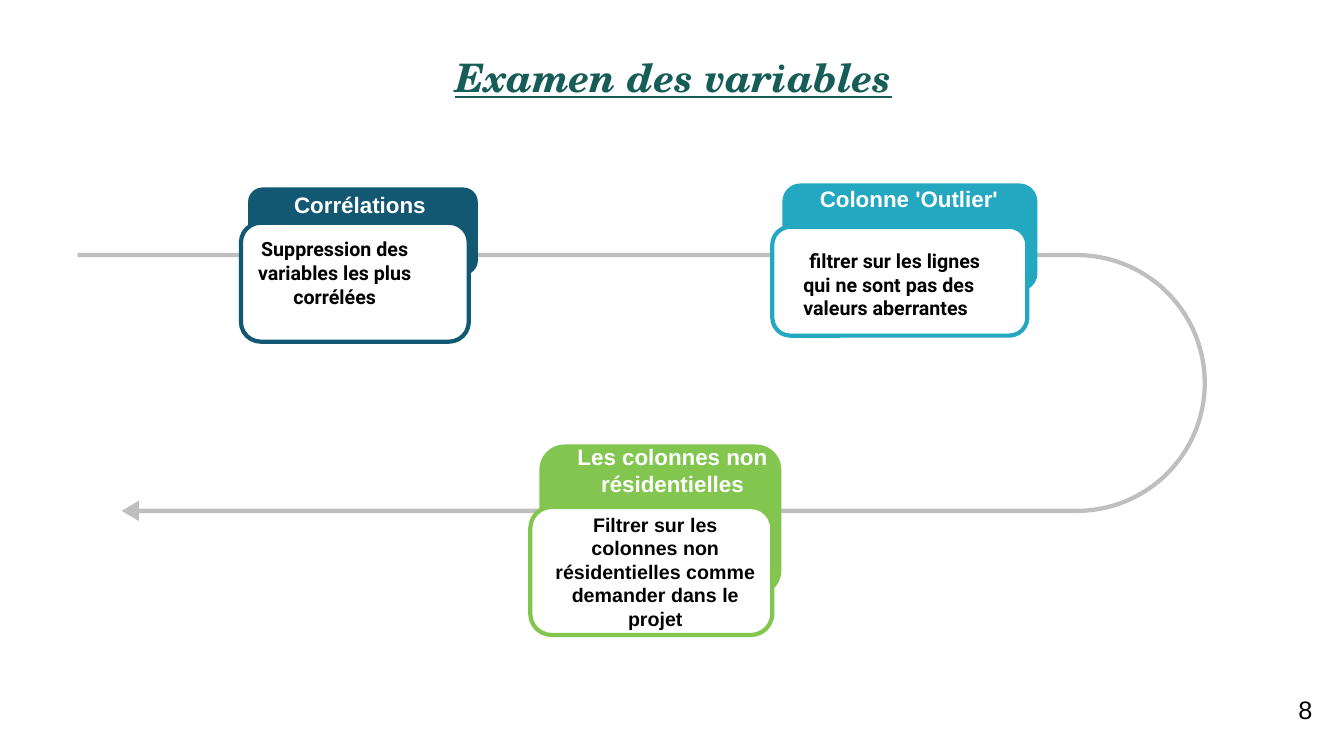
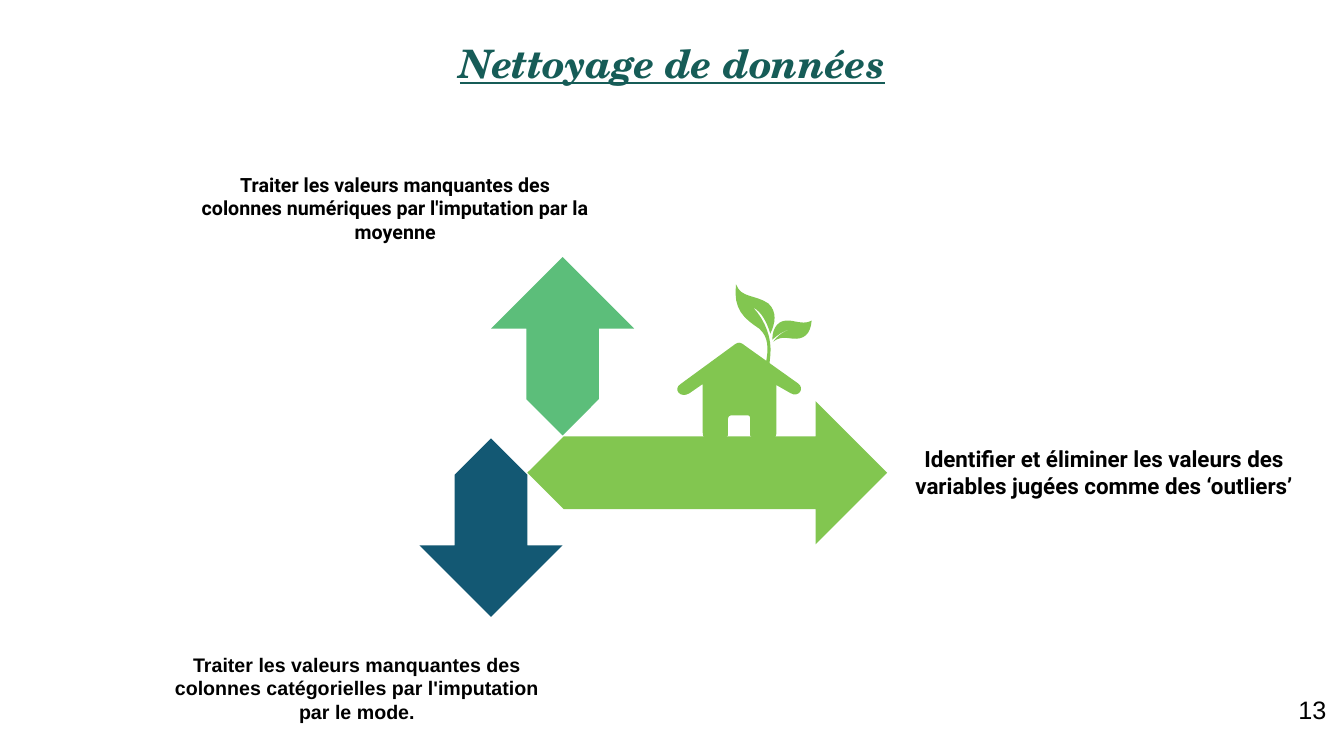
from dataclasses import dataclass

from pptx import Presentation
from pptx.dml.color import RGBColor
from pptx.enum import shapes, text
from pptx.util import Inches, Pt


@dataclass(frozen=True)
class Theme:
    title: str = "165C57"
    ink: str = "000000"
    white: str = "FFFFFF"
    track: str = "BFBFBF"
    navy: str = "135873"
    cyan: str = "24A8C2"
    lime: str = "82C650"
    mint: str = "5CBE7A"
    title_font: str = "TeX Gyre Schola"
    sans: str = "Arial"
    roboto: str = "Roboto"
    title_size: int = 28
    heading_size: int = 16
    body_size: int = 14
    number_size: int = 18
    outline: int = 3


THEME = Theme()
CENTER, LEFT = text.PP_ALIGN.CENTER, text.PP_ALIGN.LEFT
MIDDLE, TOP = text.MSO_ANCHOR.MIDDLE, text.MSO_ANCHOR.TOP
TITLE_STYLE = dict(size=Pt(THEME.title_size), name=THEME.title_font,
                   bold=True, italic=True, underline=True)
HEADING_STYLE = dict(size=Pt(THEME.heading_size), name=THEME.sans, bold=True)
BODY_STYLE = dict(size=Pt(THEME.body_size), name=THEME.sans, bold=True)
ROBOTO_STYLE = dict(BODY_STYLE, name=THEME.roboto)
NUMBER_STYLE = dict(size=Pt(THEME.number_size), name=THEME.sans)


@dataclass(frozen=True)
class Card:
    """A step of the track; its four boxes are relative to its corner."""
    corner: tuple
    color: str
    heading: str
    body: str
    tab: tuple
    panel: tuple
    heading_box: tuple
    body_box: tuple
    style: dict
    align: int = CENTER
    anchor: int = MIDDLE
    indent: float = 0


CARDS = (
    Card((2.39, 1.86), THEME.navy, "Corrélations",
         "Suppression des variables les plus corrélées",
         (0.07, 0, 2.28, 0.87), (0, 0.35, 2.26, 1.18),
         (0.18, -0.01, 2, 0.38), (-0.08, 0.44, 2.02, 0.81), ROBOTO_STYLE),
    Card((5.26, 4.41), THEME.lime, "Les colonnes non résidentielles",
         "Filtrer sur les colonnes non résidentielles comme demander "
         "dans le projet",
         (0.09, 0, 2.4, 1.5), (0, 0.62, 2.4, 1.27),
         (-0.04, -0.06, 2.9, 0.76), (0.09, 0.62, 2.3, 1.28), BODY_STYLE),
    Card((7.66, 1.82), THEME.cyan, "Colonne 'Outlier'",
         "filtrer sur les lignes qui ne sont pas des valeurs aberrantes",
         (0.1, 0, 2.53, 1.07), (0, 0.43, 2.53, 1.08),
         (-0.39, -0.03, 3.49, 0.42), (0.21, 0.6, 2.07, 0.81), ROBOTO_STYLE,
         LEFT, TOP, 0.06),
)

# Outlines relative to a corner: pairs are points, sixes are Bézier curves.
LEAF = [(0.76, 0.36), (0.75, 0.5, 0.68, 0.55, 0.57, 0.54),
        (0.5, 0.53, 0.44, 0.52, 0.38, 0.57),
        (0.42, 0.51, 0.49, 0.46, 0.57, 0.44),
        (0.5, 0.45, 0.44, 0.49, 0.37, 0.55),
        (0.37, 0.42, 0.44, 0.35, 0.54, 0.36),
        (0.62, 0.37, 0.69, 0.4, 0.76, 0.36)]
STEM = [(0.01, 0), (0.06, 0.14, 0.2, 0.1, 0.33, 0.19),
        (0.42, 0.27, 0.4, 0.39, 0.35, 0.49),
        (0.32, 0.38, 0.26, 0.27, 0.18, 0.23),
        (0.3, 0.36, 0.37, 0.54, 0.35, 0.71), (0.34, 0.81), (0.3, 0.81),
        (0.34, 0.63, 0.33, 0.52, 0.24, 0.44),
        (0.09, 0.34, -0.02, 0.25, 0.01, 0)]
HOUSE = [(0.98, 0.42), (0.98, 0.89), (0.98, 0.93, 0.97, 0.95, 0.92, 0.95),
         (0.75, 0.95), (0.72, 0.92), (0.72, 0.76),
         (0.72, 0.74, 0.72, 0.72, 0.69, 0.72), (0.54, 0.72),
         (0.51, 0.72, 0.5, 0.74, 0.5, 0.76), (0.5, 0.92), (0.47, 0.95),
         (0.31, 0.95), (0.26, 0.95, 0.25, 0.93, 0.25, 0.89), (0.25, 0.41),
         (0.12, 0.5), (0.03, 0.56, -0.05, 0.46, 0.03, 0.41), (0.55, 0.03),
         (0.6, -0.01, 0.62, -0.01, 0.67, 0.03), (1.19, 0.4),
         (1.27, 0.45, 1.2, 0.55, 1.12, 0.5)]


def shifted(corner, box):
    return corner[0] + box[0], corner[1] + box[1], box[2], box[3]


def paint(shape, fill, line=None):
    shape.shadow.inherit = False
    shape.fill.solid()
    shape.fill.fore_color.rgb = RGBColor.from_string(fill)
    if line:
        shape.line.color.rgb = RGBColor.from_string(line)
        shape.line.width = Pt(THEME.outline)
    else:
        shape.line.fill.background()


def add_preset(page, kind, box, fill, line=None):
    shape = page.shapes.add_shape(kind, *map(Inches, box))
    paint(shape, fill, line)
    return shape


def add_words(page, box, words, style, color=THEME.ink, align=CENTER,
              anchor=MIDDLE, indent=0, grow=True):
    frame = page.shapes.add_textbox(*map(Inches, box)).text_frame
    sizing = text.MSO_AUTO_SIZE
    frame.auto_size = sizing.SHAPE_TO_FIT_TEXT if grow else sizing.NONE
    frame.word_wrap = True
    frame.vertical_anchor = anchor
    para = frame.paragraphs[0]
    para.alignment = align
    if indent:
        para._p.get_or_add_pPr().set("indent", str(Inches(indent)))
    span = para.add_run()
    span.text = words
    for key, value in style.items():
        setattr(span.font, key, value)
    span.font.color.rgb = RGBColor.from_string(color)


def flatten(outline, steps=8):
    """Turn an outline of points and Bézier curves into points only."""
    points = []
    for part in outline:
        if len(part) == 2:
            points.append(part)
            continue
        knots = [points[-1], part[:2], part[2:4], part[4:]]
        for step in range(1, steps + 1):
            t = step / steps
            weights = ((1 - t) ** 3, 3 * t * (1 - t) ** 2,
                       3 * t * t * (1 - t), t ** 3)
            points.append(tuple(
                sum(w * knot[axis] for w, knot in zip(weights, knots))
                for axis in (0, 1)))
    return points


def add_outline(page, corner, outline, fill):
    points = [(Inches(corner[0] + x), Inches(corner[1] + y))
              for x, y in flatten(outline)]
    builder = page.shapes.build_freeform(*points[0], scale=1.0)
    builder.add_line_segments(points[1:], close=True)
    paint(builder.convert_to_shape(), fill)


def add_page(deck, title, title_box, number):
    page = deck.slides.add_slide(deck.slide_layouts[6])
    add_words(page, title_box, title, TITLE_STYLE, THEME.title, grow=False)
    add_words(page, (12.78, 6.84, 0.76, 0.4), number, NUMBER_STYLE,
              align=LEFT, anchor=TOP)
    return page


def add_track(page, box):
    """Draw a U-turn arrow, laid on its side, that fills the box."""
    left, top, width, height = box
    upright = (left + (width - height) / 2, top + (height - width) / 2,
               height, width)
    arrow = add_preset(page, shapes.MSO_SHAPE.U_TURN_ARROW, upright,
                       THEME.track)
    arrow.rotation = 90
    for index, value in enumerate((0.016, 0.038, 0.064, 0.485, 0.961)):
        arrow.adjustments[index] = value


def add_card(page, card):
    rounded = shapes.MSO_SHAPE.ROUNDED_RECTANGLE
    add_preset(page, rounded, shifted(card.corner, card.tab), card.color)
    add_preset(page, rounded, shifted(card.corner, card.panel), THEME.white,
               card.color)
    add_words(page, shifted(card.corner, card.heading_box), card.heading,
              HEADING_STYLE, THEME.white, anchor=TOP)
    add_words(page, shifted(card.corner, card.body_box), card.body,
              card.style, align=card.align, anchor=card.anchor,
              indent=card.indent)


def add_arrow(page, tail, heading, length, fill):
    """Draw a block arrow with a pointed tail; heading is a unit vector."""
    shaft, head = 0.36, 0.71
    side = [(shaft, shaft), (length - head, shaft), (length - head, head)]
    mirror = [(along, -across) for along, across in reversed(side)]
    dx, dy = heading
    outline = [(along * dx - across * dy, along * dy + across * dx)
               for along, across in [(0, 0), *side, (length, 0), *mirror]]
    add_outline(page, tail, outline, fill)


def add_green_house(page, corner):
    left, top = corner
    for outline in (LEAF, STEM):
        add_outline(page, (left + 0.57, top - 0.58), outline, THEME.lime)
    add_outline(page, corner, HOUSE, THEME.lime)


def variables_page(deck):
    page = add_page(deck, "Examen des variables",
                    (0.35, 0.37, 12.66, 0.79), "8")
    add_track(page, (0.77, 2.51, 11.2, 2.66))
    for card in CARDS:
        add_card(page, card)


def cleaning_page(deck):
    page = add_page(deck, "Nettoyage de données",
                    (0.34, 0.23, 12.66, 0.79), "13")
    add_arrow(page, (5.58, 4.32), (0, -1), 1.77, THEME.mint)
    add_arrow(page, (4.87, 4.35), (0, 1), 1.77, THEME.navy)
    add_arrow(page, (5.23, 4.69), (1, 0), 3.57, THEME.lime)
    add_green_house(page, (6.72, 3.4))
    for box, words, style in (
        ((1.88, 1.66, 4.08, 0.81),
         "Traiter les valeurs manquantes des colonnes numériques par "
         "l'imputation par la moyenne", ROBOTO_STYLE),
        ((1.5, 6.42, 4.08, 0.81),
         "Traiter les valeurs manquantes des colonnes catégorielles par "
         "l'imputation par le mode.", BODY_STYLE),
        ((8.91, 4.23, 4.08, 0.91),
         "Identifier et éliminer les valeurs des variables jugées comme "
         "des ‘outliers’", dict(HEADING_STYLE, name=THEME.roboto)),
    ):
        add_words(page, box, words, style)


def main():
    deck = Presentation()
    deck.slide_width, deck.slide_height = Inches(13.33), Inches(7.5)
    variables_page(deck)
    cleaning_page(deck)
    deck.save("out.pptx")


if __name__ == "__main__":
    main()
